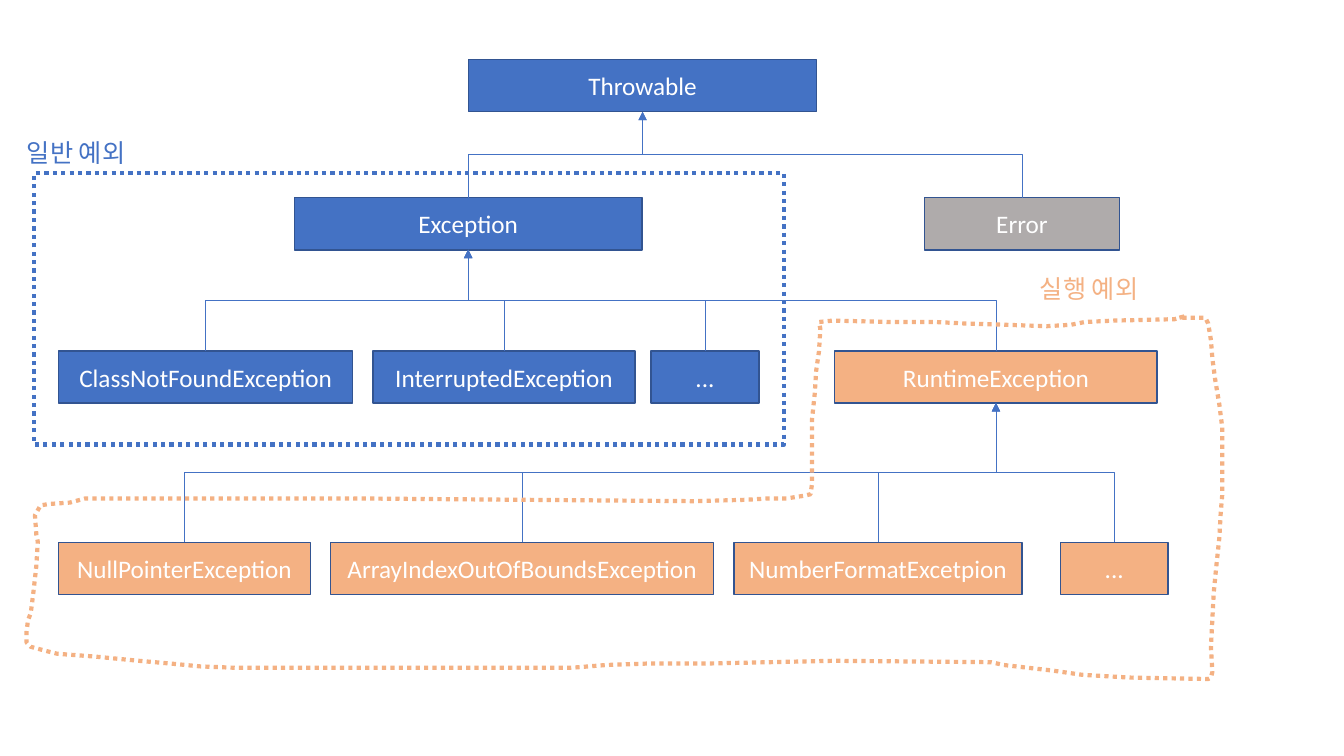
"""Draw the Java exception hierarchy on one slide."""
from dataclasses import dataclass

from lxml import etree
from pptx import Presentation
from pptx.dml.color import RGBColor
from pptx.enum.dml import MSO_LINE
from pptx.enum.shapes import MSO_CONNECTOR, MSO_SHAPE
from pptx.enum.text import MSO_ANCHOR, MSO_AUTO_SIZE, PP_ALIGN
from pptx.oxml.ns import qn
from pptx.shapes.autoshape import Shape
from pptx.shapes.connector import Connector
from pptx.shapes.shapetree import SlideShapes
from pptx.text.text import TextFrame
from pptx.util import Pt

BLUE = RGBColor(0x44, 0x72, 0xC4)
DARK_BLUE = RGBColor(0x32, 0x54, 0x91)
ORANGE = RGBColor(0xF4, 0xB1, 0x83)
GRAY = RGBColor(0xAF, 0xAB, 0xAB)
WHITE = RGBColor(0xFF, 0xFF, 0xFF)

RECTANGLE = MSO_SHAPE.RECTANGLE
ELBOW = MSO_CONNECTOR.ELBOW
DOTTED = MSO_LINE.ROUND_DOT  # written as sysDot
MIDDLE = MSO_ANCHOR.MIDDLE
CENTER = PP_ALIGN.CENTER
LEFT = PP_ALIGN.LEFT
FIT_TEXT = MSO_AUTO_SIZE.SHAPE_TO_FIT_TEXT

FONT_NAME = "Calibri"
FONT_SIZE = Pt(18)
BOX_HEIGHT = Pt(37.4)
LEVEL_TOPS = (42.5, 141.1, 250.6, 387.4)
TOP_SITE, BOTTOM_SITE = 0, 2


@dataclass(frozen=True)
class ClassBox:
    """A class of the hierarchy with its subclasses; lengths in points."""
    name: str
    left: float
    width: float
    fill: RGBColor
    subclasses: tuple["ClassBox", ...] = ()


@dataclass(frozen=True)
class GroupLabel:
    """The caption of a dotted group; lengths in points."""
    text: str
    left: float
    top: float
    color: RGBColor


RUNTIME_EXCEPTION = ClassBox("RuntimeException", 596.2, 230.4, ORANGE, (
    ClassBox("NullPointerException", 41.8, 180, ORANGE),
    ClassBox("ArrayIndexOutOfBoundsException", 236.2, 273.6, ORANGE),
    ClassBox("NumberFormatExcetpion", 524.2, 205.9, ORANGE),
    ClassBox("...", 757.4, 77, ORANGE),
))
EXCEPTION = ClassBox("Exception", 210.2, 248.4, BLUE, (
    ClassBox("ClassNotFoundException", 41.8, 210.2, BLUE),
    ClassBox("InterruptedException", 266.4, 187.2, BLUE),
    ClassBox("...", 465.1, 77, BLUE),
    RUNTIME_EXCEPTION,
))
THROWABLE = ClassBox("Throwable", 334.8, 248.4, BLUE, (
    EXCEPTION,
    ClassBox("Error", 660.2, 139.7, GRAY),
))
GROUP_LABELS = (
    GroupLabel("일반 예외", 12.2, 94.3, BLUE),
    GroupLabel("실행 예외", 735.8, 191.5, ORANGE),
)
RUNTIME_OUTLINE = (
    (846, 226.1), (838.8, 227.5), (796.3, 229), (775.4, 230.4), (765.4, 231.8),
    (748.1, 232.6), (687.6, 231.1), (668.2, 230.4), (635.8, 229.7), (594.7, 229),
    (584.6, 229.7), (586.1, 234.7), (585.4, 250.6), (583.2, 265), (581.8, 280.8),
    (580.3, 299.5), (579.6, 304.6), (580.3, 346.3), (578.9, 352.8), (574.6, 354.2),
    (562.3, 355.7), (548.6, 355.7), (532.8, 357.1), (496.1, 357.8), (251.3, 356.4),
    (202.3, 355.7), (77.8, 355.7), (61.2, 356.4), (49.7, 358.6), (34.6, 360),
    (28.8, 361.4), (25.2, 367.9), (25.9, 382.3), (26.6, 387.4), (25.9, 403.9),
    (23.8, 421.9), (21.6, 438.5), (20.2, 442.8), (18.7, 451.4), (19.4, 459.4),
    (22.3, 461.5), (33.1, 465.1), (41, 466.6), (67.7, 469.4), (99.4, 471.6),
    (121.7, 474.5), (142.6, 475.9), (167.8, 477.4), (408.2, 476.6), (432.7, 475.2),
    (462.2, 474.5), (503.3, 473.8), (596.2, 472.3), (707.8, 473), (717.1, 475.2),
    (751.7, 478.8), (772.6, 481.7), (807.1, 483.8), (862.6, 485.3), (865.4, 483.8),
    (866.2, 480.2), (865.4, 461.5), (866.9, 422.6), (869, 403.2), (871.2, 383.8),
    (871.9, 365.8), (873.4, 353.5), (872.6, 305.3), (871.2, 288.7), (868.3, 271.4),
    (866.2, 256.3), (864.7, 243.4), (862.6, 231.1), (861.1, 226.8), (841.7, 226.8),
)


def write_text(text_frame: TextFrame, text: str, color: RGBColor, alignment: PP_ALIGN) -> None:
    """Fill a text frame with one formatted paragraph."""
    text_frame.text = text
    paragraph = text_frame.paragraphs[0]
    paragraph.alignment = alignment
    font = paragraph.runs[0].font
    font.name = FONT_NAME
    font.size = FONT_SIZE
    font.color.rgb = color


def draw_box(shapes: SlideShapes, box: ClassBox, level: int) -> Shape:
    """Draw the rectangle of one class."""
    shape = shapes.add_shape(RECTANGLE, Pt(box.left), Pt(LEVEL_TOPS[level]),
                             Pt(box.width), BOX_HEIGHT)
    shape.shadow.inherit = False
    shape.fill.solid()
    shape.fill.fore_color.rgb = box.fill
    shape.line.color.rgb = DARK_BLUE
    shape.line.width = Pt(1)
    shape.text_frame.vertical_anchor = MIDDLE
    write_text(shape.text_frame, box.name, WHITE, CENTER)
    return shape


def turn_upright(connector: Connector, child: Shape, parent: Shape) -> None:
    """Rotate an elbow so that it leaves the child upwards."""
    child_x = child.left + child.width // 2
    parent_x = parent.left + parent.width // 2
    parent_bottom = parent.top + parent.height
    rise, run = child.top - parent_bottom, abs(child_x - parent_x)
    connector.left = (child_x + parent_x - rise) // 2
    connector.top = (child.top + parent_bottom - run) // 2
    connector.width, connector.height = rise, run
    child_is_left = child_x < parent_x
    transform = connector.element.spPr.xfrm
    transform.rot = 90 if child_is_left else 270
    transform.flipH = child_is_left
    transform.flipV = True


def draw_inheritance(shapes: SlideShapes, child: Shape, parent: Shape) -> None:
    """Draw the arrow from a subclass to its superclass."""
    connector = shapes.add_connector(ELBOW, 0, 0, 0, 0)
    connector.begin_connect(child, TOP_SITE)
    connector.end_connect(parent, BOTTOM_SITE)
    turn_upright(connector, child, parent)
    connector.line.color.rgb = BLUE
    connector.line.width = Pt(0.5)
    line = connector.line._get_or_add_ln()
    etree.SubElement(line, qn("a:tailEnd"), type="triangle")
    etree.SubElement(connector.element.spPr, qn("a:effectLst"))


def draw_hierarchy(shapes: SlideShapes, box: ClassBox, level: int = 0) -> Shape:
    """Draw a class, its subclasses and the arrows between them."""
    parent = draw_box(shapes, box, level)
    for subclass in box.subclasses:
        child = draw_hierarchy(shapes, subclass, level + 1)
        draw_inheritance(shapes, child, parent)
    return parent


def draw_label(shapes: SlideShapes, label: GroupLabel) -> None:
    """Draw the caption of a group."""
    text_box = shapes.add_textbox(Pt(label.left), Pt(label.top), Pt(91.4), Pt(28.8))
    text_box.text_frame.word_wrap = False
    text_box.text_frame.auto_size = FIT_TEXT
    write_text(text_box.text_frame, label.text, label.color, LEFT)


def style_outline(shape: Shape, color: RGBColor) -> None:
    """Turn a shape into an unfilled dotted outline."""
    shape.shadow.inherit = False
    shape.fill.background()
    shape.line.color.rgb = color
    shape.line.width = Pt(3)
    shape.line.dash_style = DOTTED


def main() -> None:
    """Build and save the presentation."""
    presentation = Presentation()
    presentation.slide_width, presentation.slide_height = Pt(960), Pt(540)
    slide = presentation.slides.add_slide(presentation.slide_layouts[6])
    shapes = slide.shapes
    draw_hierarchy(shapes, THROWABLE)
    for label in GROUP_LABELS:
        draw_label(shapes, label)
    checked_outline = shapes.add_shape(RECTANGLE, Pt(24.5), Pt(123.8), Pt(535.7), Pt(193.7))
    style_outline(checked_outline, BLUE)
    builder = shapes.build_freeform(*RUNTIME_OUTLINE[0], scale=Pt(1))
    builder.add_line_segments(RUNTIME_OUTLINE[1:], close=True)
    style_outline(builder.convert_to_shape(), ORANGE)
    presentation.save("out.pptx")


main()
